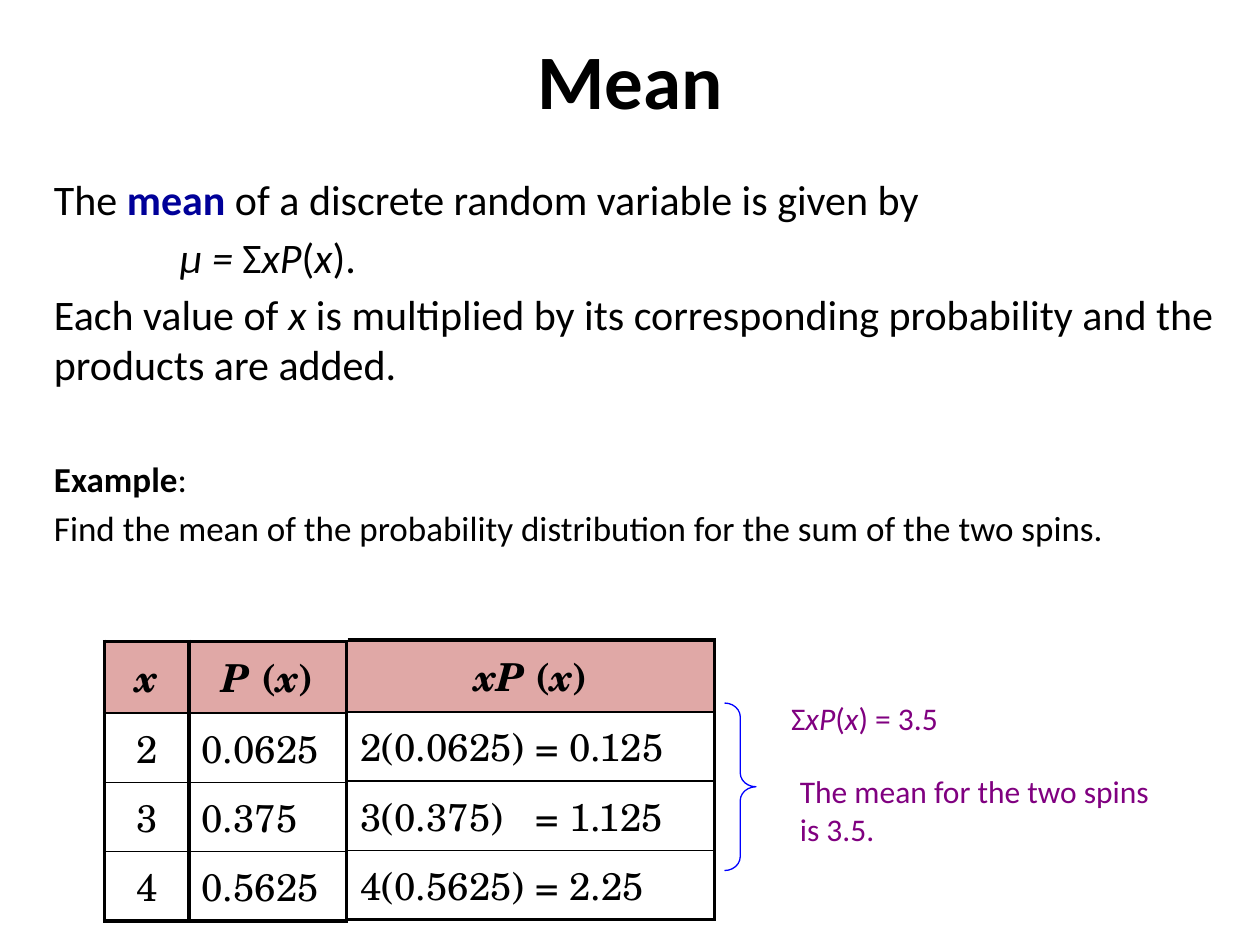
from lxml import etree
from pptx import Presentation
from pptx.dml.color import RGBColor
from pptx.enum.shapes import MSO_SHAPE
from pptx.enum.text import MSO_ANCHOR, PP_ALIGN
from pptx.oxml.ns import qn
from pptx.util import Inches, Pt

CENTER, LEFT = PP_ALIGN.CENTER, PP_ALIGN.LEFT
MIDDLE = MSO_ANCHOR.MIDDLE
BLACK, NAVY, PURPLE, BLUE, ROSE = "000000", "000099", "800080", "0000FF", "E0A8A6"
BODY_FONT, TABLE_FONT = "Calibri", "TeX Gyre Schola"
THICK, THIN = 2.25, 1

# Content: a paragraph is a list of (text, style); i = italic, b = bold, k = key term
TITLE = "Mean"
X_OF_X = [("xP", "i"), ("(", ""), ("x", "i")]
DEFINITION = [
    [("The ", ""), ("mean ", "k"), ("of a discrete random variable is given by", "")],
    [("μ = ", "i"), ("Σ", ""), *X_OF_X, (").", "")],
    [("Each value of ", ""), ("x", "i"),
     (" is multiplied by its corresponding probability and the products are added.", "")],
]
EXAMPLE = [
    [("Example", "b"), (":", "")],
    [("Find the mean of the probability distribution for the sum of the two spins.", "")],
]
SUM = [[("Σ", ""), *X_OF_X, (") = 3.5", "")]]
CONCLUSION = [[("The mean for the two spins is 3.5.", "")]]

HEAD_X = [("x", "bi")]
HEAD_P = [("P", "bi"), (" (", "b"), ("x", "bi"), (")", "b")]
HEAD_XP = [("xP", "bi"), *HEAD_P[1:]]
DISTRIBUTION = [[HEAD_X, HEAD_P], ["2", "0.0625"], ["3", "0.375"], ["4", "0.5625"]]
PRODUCTS = [[HEAD_XP], ["2(0.0625) = 0.125"], ["3(0.375)\t= 1.125"], ["4(0.5625) = 2.25"]]
ROW_HEIGHTS = [0.57, 0.55, 0.55, 0.55]
EQUALS_TAB = 1.39


def color(value):
    return RGBColor.from_string(value)


def write(para, spans, size, font=BODY_FONT, ink=BLACK, align=LEFT):
    para.alignment = align
    para.font.size, para.font.name = Pt(size), font
    para.font.color.rgb = color(ink)
    for text, style in spans:
        span = para.add_run()
        span.text = text
        if "i" in style:
            span.font.italic = True
        if "b" in style or "k" in style:
            span.font.bold = True
        if "k" in style:
            span.font.color.rgb = color(NAVY)


def add_text(page, place, paragraphs, size, ink=BLACK, wrap=True):
    box = page.shapes.add_textbox(*map(Inches, place))
    frame = box.text_frame
    frame.word_wrap = wrap
    for index, spans in enumerate(paragraphs):
        para = frame.paragraphs[0] if index == 0 else frame.add_paragraph()
        if index:
            para.space_before = Pt(4)
        write(para, spans, size, ink=ink)
    return box


def set_border(cell, side, width):
    line = etree.SubElement(cell._tc.get_or_add_tcPr(), qn("a:" + side))
    if not width:
        etree.SubElement(line, qn("a:noFill"))
        return
    line.set("w", str(Pt(width)))
    fill = etree.SubElement(line, qn("a:solidFill"))
    etree.SubElement(fill, qn("a:srgbClr")).set("val", BLACK)


def add_tab(para, position):
    tabs = etree.SubElement(para._p.get_or_add_pPr(), qn("a:tabLst"))
    etree.SubElement(tabs, qn("a:tab"), pos=str(Inches(position)), algn="l")


def add_grid(page, left, top, widths, rows, aligns, left_border):
    frame = page.shapes.add_table(len(rows), len(widths), Inches(left), Inches(top),
                                  Inches(sum(widths)), Inches(sum(ROW_HEIGHTS)))
    table = frame.table
    table.first_row = table.horz_banding = False
    for column, width in zip(table.columns, widths):
        column.width = Inches(width)
    for r, values in enumerate(rows):
        table.rows[r].height = Inches(ROW_HEIGHTS[r])
        for c, value in enumerate(values):
            cell = table.cell(r, c)
            cell.vertical_anchor = MIDDLE
            para = cell.text_frame.paragraphs[0]
            header = r == 0
            spans = value if header else [(value, "")]
            if not header and "\t" in value:
                add_tab(para, EQUALS_TAB)
            write(para, spans, 22, TABLE_FONT, align=CENTER if header else aligns[c])
            # Borders come before the fill in the cell properties
            set_border(cell, "lnL", THICK if c else left_border)
            set_border(cell, "lnR", THICK)
            set_border(cell, "lnT", THICK if header else THIN)
            set_border(cell, "lnB", THICK if r == len(rows) - 1 else THIN)
            if header:
                cell.fill.solid()
                cell.fill.fore_color.rgb = color(ROSE)
            else:
                cell.fill.background()


deck = Presentation()
deck.slide_width, deck.slide_height = Inches(10), Inches(7.5)
page = deck.slides.add_slide(deck.slide_layouts[5])

# Title
title = page.shapes.title
title.left, title.top, title.width, title.height = map(Inches, (0.5, 0, 9, 1.25))
title.text_frame.vertical_anchor = MIDDLE
write(title.text_frame.paragraphs[0], [(TITLE, "b")], 44, align=CENTER)

# Definition, with the formula indented, and the example
definition = add_text(page, (0.33, 1.33, 9.42, 2.15), DEFINITION, 24)
formula = definition.text_frame.paragraphs[1]
formula._p.get_or_add_pPr().set("marL", str(Inches(1)))
add_text(page, (0.33, 3.58, 9.45, 1), EXAMPLE, 20)

# Tables
add_grid(page, 0.83, 5.09, [0.67, 1.25], DISTRIBUTION, [CENTER, LEFT], THICK)
add_grid(page, 2.76, 5.08, [2.91], PRODUCTS, [LEFT], 0)

# Brace and result
brace = page.shapes.add_shape(MSO_SHAPE.RIGHT_BRACE, *map(Inches, (5.75, 5.58, 0.25, 1.33)))
brace.shadow.inherit = False
brace.adjustments[0] = 0.44
brace.fill.background()
brace.line.color.rgb = color(BLUE)
brace.line.width = Pt(0.75)
add_text(page, (6.18, 5.5, 2.06, 0.5), SUM, 18, PURPLE, wrap=False)
add_text(page, (6.25, 6.08, 3.07, 0.9), CONCLUSION, 18, PURPLE)

deck.save("out.pptx")
